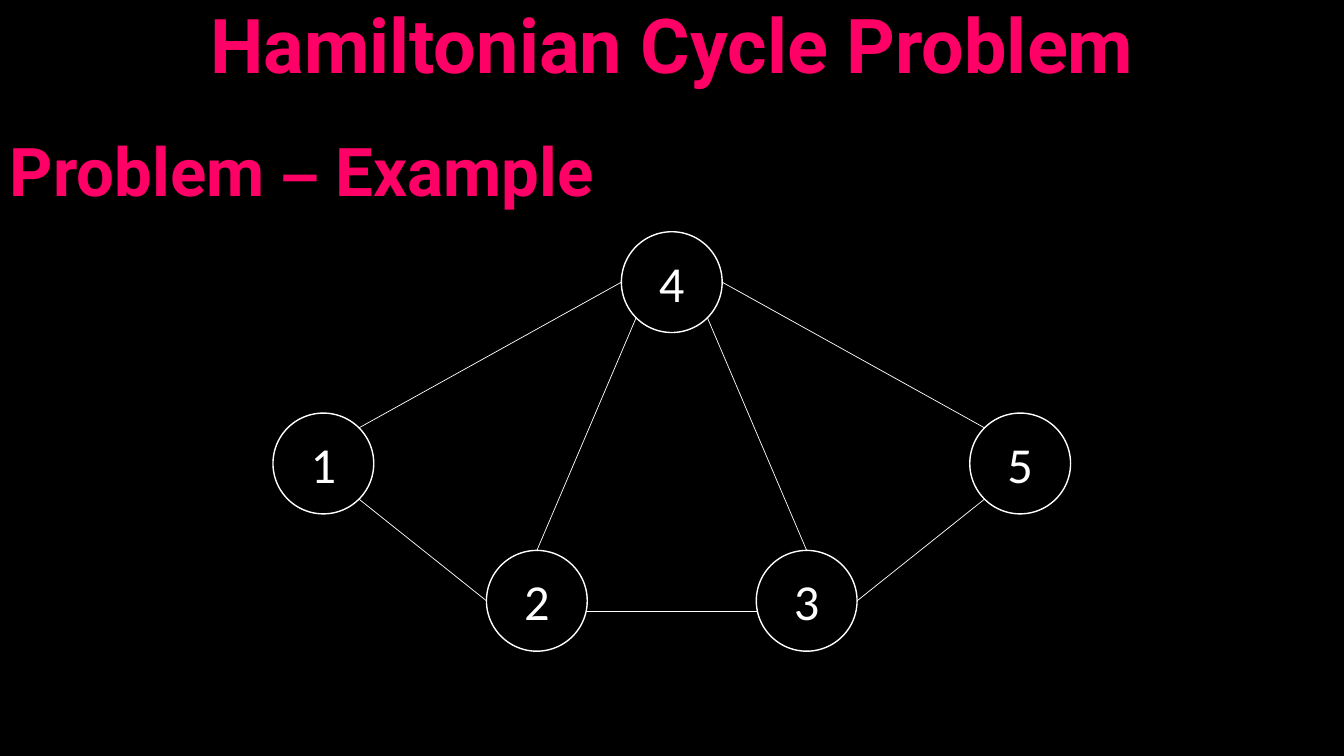
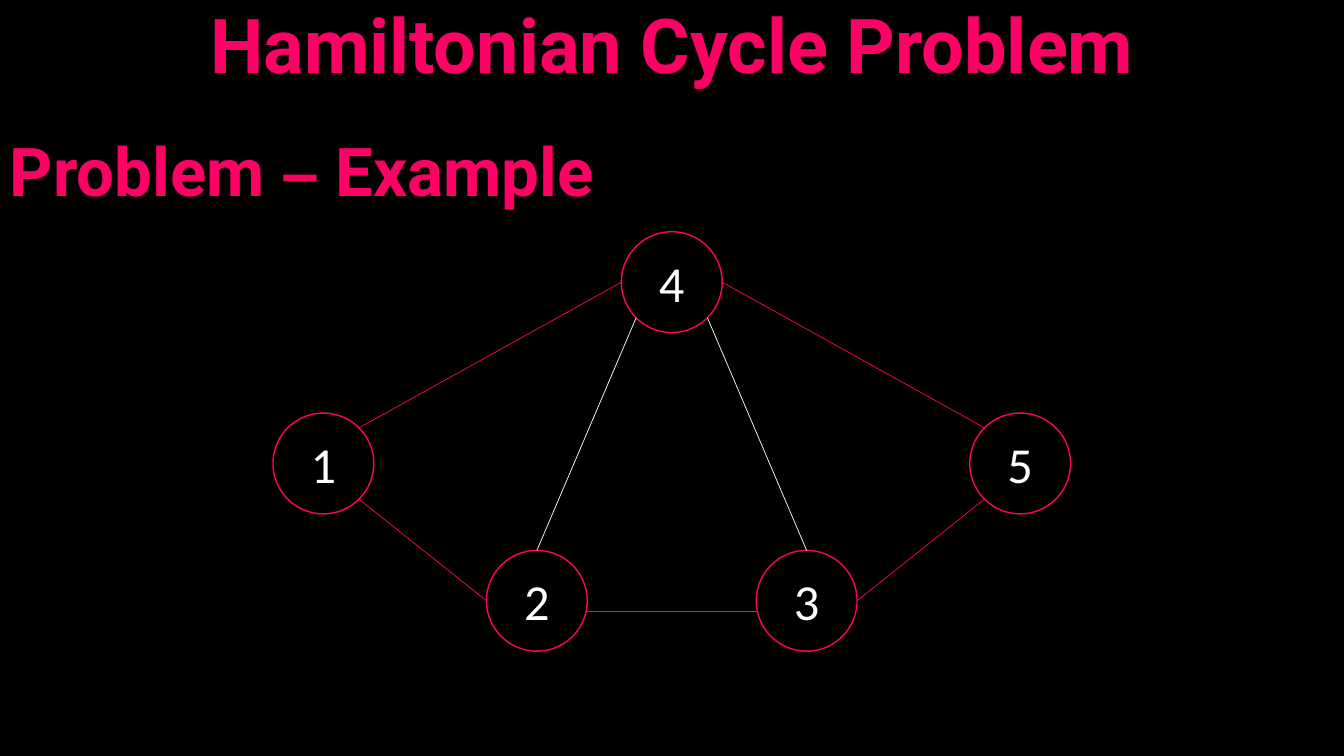
from dataclasses import dataclass
from math import cos, radians, sin

from lxml import etree
from pptx import Presentation
from pptx.dml.color import RGBColor
from pptx.enum.shapes import MSO_CONNECTOR, MSO_SHAPE
from pptx.enum.text import MSO_ANCHOR, PP_ALIGN
from pptx.oxml.ns import qn
from pptx.slide import Slide
from pptx.text.text import Font
from pptx.util import Cm, Pt

ELLIPSE = MSO_SHAPE.OVAL
STRAIGHT = MSO_CONNECTOR.STRAIGHT
LEFT, CENTER = PP_ALIGN.LEFT, PP_ALIGN.CENTER
BOTTOM, MIDDLE = MSO_ANCHOR.BOTTOM, MSO_ANCHOR.MIDDLE

COLORS = {"background": "000000", "accent": "FF0066", "plain": "FFFFFF"}
HEADING_FONT, DASH_FONT, NODE_FONT = "Roboto", "Arial", "Calibri"

SLIDE_WIDTH, SLIDE_HEIGHT = 33.87, 19.05
HEADING_HEIGHT = 2.39
RADIUS = 1.27
MIDDLE_X = 16.93
INNER_OFFSET, OUTER_OFFSET = 3.4, 8.78
TOP_Y, SIDE_Y, BASE_Y = 7.11, 11.68, 15.14


@dataclass(frozen=True)
class Heading:
    """A full-width heading, as runs of text and font name."""
    runs: tuple[tuple[str, str], ...]
    top: float
    size: int
    alignment: PP_ALIGN


@dataclass(frozen=True)
class Node:
    """A numbered graph vertex, placed by its centre."""
    label: str
    x: float
    y: float

    def rim(self, angle: float) -> tuple[float, float]:
        """Return the rim point at an angle, clockwise from the right."""
        turn = radians(angle)
        return self.x + RADIUS * cos(turn), self.y + RADIUS * sin(turn)


@dataclass(frozen=True)
class Edge:
    """A line between rim points of two nodes."""
    start: Node
    start_angle: float
    end: Node
    end_angle: float
    in_cycle: bool = True


HEADINGS = (
    Heading((("Problem ", HEADING_FONT), ("–", DASH_FONT), (" Example", HEADING_FONT)),
            3.05, 48, LEFT),
    Heading((("Hamiltonian Cycle Problem", HEADING_FONT),), 0, 54, CENTER),
)

NODE_1 = Node("1", MIDDLE_X - OUTER_OFFSET, SIDE_Y)
NODE_2 = Node("2", MIDDLE_X - INNER_OFFSET, BASE_Y)
NODE_3 = Node("3", MIDDLE_X + INNER_OFFSET, BASE_Y)
NODE_4 = Node("4", MIDDLE_X, TOP_Y)
NODE_5 = Node("5", MIDDLE_X + OUTER_OFFSET, SIDE_Y)
NODES = (NODE_1, NODE_2, NODE_4, NODE_3, NODE_5)

EDGES = (
    Edge(NODE_1, -45, NODE_4, 180),
    Edge(NODE_4, 0, NODE_5, -135),
    Edge(NODE_2, 180, NODE_1, 45),
    Edge(NODE_3, 0, NODE_5, 135),
    Edge(NODE_2, 12, NODE_3, 168),
    Edge(NODE_2, -90, NODE_4, 135, in_cycle=False),
    Edge(NODE_3, -90, NODE_4, 45, in_cycle=False),
)


def color(name: str) -> RGBColor:
    """Look up a palette colour."""
    return RGBColor.from_string(COLORS[name])


def style_font(font: Font, name: str, size: int, color_name: str, bold: bool) -> None:
    """Set the typeface, size, colour and weight of a font."""
    font.name, font.size, font.bold = name, Pt(size), bold
    font.color.rgb = color(color_name)


def add_heading(slide: Slide, heading: Heading) -> None:
    """Add a heading across the slide."""
    shape = slide.shapes.add_textbox(
        Cm(0), Cm(heading.top), Cm(SLIDE_WIDTH), Cm(HEADING_HEIGHT))
    frame = shape.text_frame
    frame.word_wrap = True
    frame.vertical_anchor = BOTTOM
    paragraph = frame.paragraphs[0]
    paragraph.alignment = heading.alignment
    paragraph.line_spacing = 0.9
    style_font(paragraph.font, HEADING_FONT, heading.size, "accent", True)
    for text, font_name in heading.runs:
        run = paragraph.add_run()
        run.text = text
        if font_name != HEADING_FONT:
            run.font.name = font_name


def add_node(slide: Slide, node: Node, line_color: str) -> None:
    """Draw a node as an outlined circle with its number."""
    shape = slide.shapes.add_shape(
        ELLIPSE, Cm(node.x - RADIUS), Cm(node.y - RADIUS), Cm(2 * RADIUS), Cm(2 * RADIUS))
    shape.shadow.inherit = False
    shape.fill.background()
    shape.line.color.rgb = color(line_color)
    shape.line.width = Pt(1)
    frame = shape.text_frame
    frame.vertical_anchor = MIDDLE
    paragraph = frame.paragraphs[0]
    paragraph.text = node.label
    paragraph.alignment = CENTER
    style_font(paragraph.font, NODE_FONT, 36, "plain", False)


def add_edge(slide: Slide, edge: Edge, line_color: str) -> None:
    """Draw an edge as a thin straight line."""
    points = edge.start.rim(edge.start_angle) + edge.end.rim(edge.end_angle)
    connector = slide.shapes.add_connector(STRAIGHT, *(Cm(value) for value in points))
    connector.line.color.rgb = color(line_color)
    connector.line.width = Pt(0.5)
    etree.SubElement(connector.element.spPr, qn("a:effectLst"))


def add_graph_slide(presentation: Presentation, cycle_color: str) -> None:
    """Add a slide with the graph, its cycle drawn in the given colour."""
    slide = presentation.slides.add_slide(presentation.slide_layouts[6])
    for heading in HEADINGS:
        add_heading(slide, heading)
    for node in NODES:
        add_node(slide, node, cycle_color)
    for edge in EDGES:
        add_edge(slide, edge, cycle_color if edge.in_cycle else "plain")


def main() -> None:
    """Build and save the presentation."""
    presentation = Presentation()
    presentation.slide_width = Cm(SLIDE_WIDTH)
    presentation.slide_height = Cm(SLIDE_HEIGHT)
    fill = presentation.slide_master.background.fill
    fill.solid()
    fill.fore_color.rgb = color("background")
    for cycle_color in ("plain", "accent"):
        add_graph_slide(presentation, cycle_color)
    presentation.save("out.pptx")


main()
